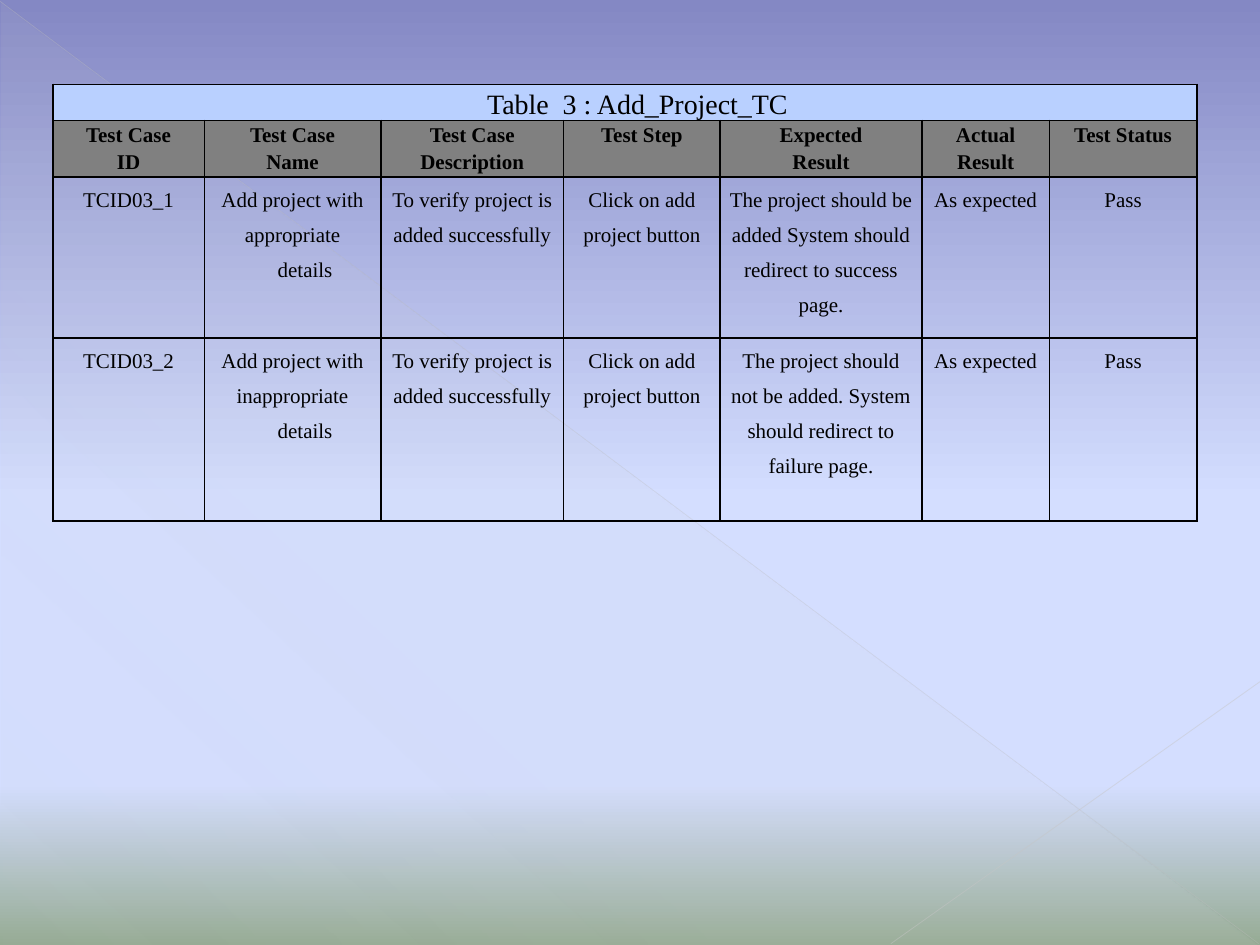
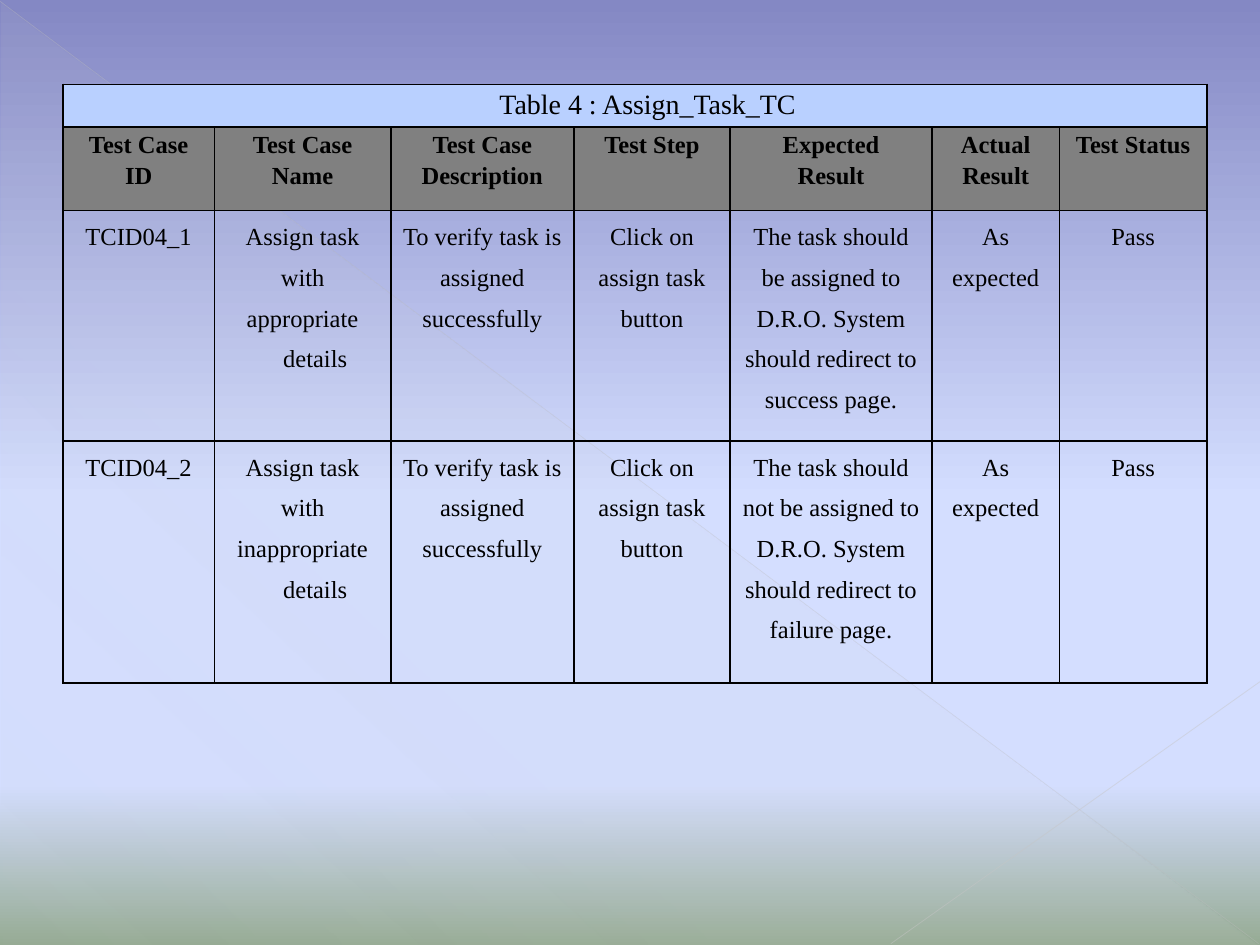
from typing import NamedTuple, Optional

import lxml.etree
import pptx
import pptx.dml.color
import pptx.enum.shapes
import pptx.enum.text
import pptx.oxml.ns
import pptx.util

COLORS = {
    "text": "000000", "border": "000000", "title": "B9D0FF", "header": "808080",
    "sky_top": "8488C4", "sky": "D4DEFF", "ground": "96AB94",
    "veil": "D2D2D2", "diagonal": "BFBFBF", "corner": "C6C6C6",
}
FONT = "Times New Roman"
GRID_COLUMNS, GRID_ROWS = 10, 7.5
CELL = pptx.util.Inches(1)
TABLE_WIDTH, TABLE_TOP = 9.08, 0.67
COLUMN_WEIGHTS = [1.2, 1.4, 1.45, 1.24, 1.6, 1.01, 1.17]
CELL_MARGIN = 0.07


class Stop(NamedTuple):
    percent: int
    color: str
    opacity: int = 100


class Ray(NamedTuple):
    start: tuple[float, float]
    end: tuple[float, float]
    color: str
    width: float
    opacity: int


class Line(NamedTuple):
    text: str
    left: float = 0
    first: float = 0


class CellStyle(NamedTuple):
    size: int
    bold: bool
    spacing: float
    fill: Optional[str]


class TestCase(NamedTuple):
    code: str
    name: str
    description: str
    step: str
    expected: str


class TestTable(NamedTuple):
    title: str
    left: float
    rows: list[float]
    size: int
    cases: list[TestCase]


SKY = [Stop(0, "sky_top"), Stop(53, "sky"), Stop(83, "sky"), Stop(100, "ground")]
VEIL = [Stop(0, "veil", 10), Stop(70, "veil", 8), Stop(100, "veil", 1)]
RAYS = [
    Ray((0, 0.01), (9.99, 7.49), "diagonal", 0.39, 35),
    Ray((10, 5.41), (7.07, 7.49), "corner", 0.47, 45),
]
HEADERS = [
    [Line("Test Case", 1, -1), Line("ID", 1, -1)],
    [Line("Test Case"), Line("Name")],
    [Line("Test Case"), Line("Description")],
    [Line("Test Step")],
    [Line("Expected"), Line("Result")],
    [Line("Actual"), Line("Result")],
    [Line("Test Status")],
]
TABLES = [
    TestTable("Table  3 : Add_Project_TC", 0.42, [0.19, 0.45, 1.28, 1.45], 12, [
        TestCase("TCID03_1", "Add project with appropriate",
                 "To verify project is added successfully", "Click on add project button",
                 "The project should be added System should redirect to success page."),
        TestCase("TCID03_2", "Add project with inappropriate",
                 "To verify project is added successfully", "Click on add project button",
                 "The project should not be added. System should redirect to failure page."),
    ]),
    TestTable("Table 4 : Assign_Task_TC", 0.5, [0.34, 0.66, 1.83, 1.92], 14, [
        TestCase("TCID04_1", "Assign task with appropriate",
                 "To verify task is assigned successfully", "Click on assign task button",
                 "The task should be assigned to D.R.O. System should redirect to success page."),
        TestCase("TCID04_2", "Assign task with inappropriate",
                 "To verify task is assigned successfully", "Click on assign task button",
                 "The task should not be assigned to D.R.O. System should redirect to failure page."),
    ]),
]


def grid(cells: float) -> int:
    return round(cells * CELL)


def rgb(name: str) -> pptx.dml.color.RGBColor:
    return pptx.dml.color.RGBColor.from_string(COLORS[name])


def add_child(parent, tag: str, **attributes):
    child = lxml.etree.SubElement(parent, pptx.oxml.ns.qn(tag))
    for key, value in attributes.items():
        child.set(key, str(value))
    return child


def set_gradient(fill, element, stops: list[Stop], angle: int) -> None:
    fill.gradient()
    fill.gradient_angle = 360 - angle
    stop_list = next(element.iter(pptx.oxml.ns.qn("a:gsLst")))
    for old in list(stop_list):
        stop_list.remove(old)
    for stop in stops:
        gs = add_child(stop_list, "a:gs", pos=stop.percent * 1000)
        color = add_child(gs, "a:srgbClr", val=COLORS[stop.color])
        add_child(color, "a:alpha", val=stop.opacity * 1000)


def draw_ray(slide, ray: Ray) -> None:
    points = [grid(value) for value in ray.start + ray.end]
    cx = slide.shapes.add_connector(pptx.enum.shapes.MSO_CONNECTOR.STRAIGHT, *points)
    cx.line.width = pptx.util.Pt(ray.width)
    cx.line.color.rgb = rgb(ray.color)
    color = next(cx.element.spPr.iter(pptx.oxml.ns.qn("a:srgbClr")))
    add_child(color, "a:alpha", val=ray.opacity * 1000)
    add_child(cx.element.spPr, "a:effectLst")


def draw_backdrop(slide) -> None:
    sp = slide.shapes.add_shape(pptx.enum.shapes.MSO_SHAPE.RIGHT_TRIANGLE,
                                grid(0.01), grid(0.02), grid(9.98), grid(7.48))
    sp.shadow.inherit = False
    sp.line.fill.background()
    set_gradient(sp.fill, sp.element, VEIL, 133)
    for ray in RAYS:
        draw_ray(slide, ray)


def set_borders(cell) -> None:
    properties = cell._tc.get_or_add_tcPr()
    for side in ("a:lnL", "a:lnR", "a:lnT", "a:lnB"):
        border = add_child(properties, side, w=pptx.util.Pt(1))
        add_child(add_child(border, "a:solidFill"), "a:srgbClr", val=COLORS["border"])


def write_cell(cell, lines: list[Line], style: CellStyle) -> None:
    set_borders(cell)
    if style.fill:
        cell.fill.solid()
        cell.fill.fore_color.rgb = rgb(style.fill)
    else:
        cell.fill.background()
    cell.margin_left = cell.margin_right = grid(CELL_MARGIN)
    cell.margin_top = cell.margin_bottom = 0
    tf = cell.text_frame
    for i, line in enumerate(lines):
        p = tf.add_paragraph() if i else tf.paragraphs[0]
        p.alignment = pptx.enum.text.PP_ALIGN.CENTER
        p.line_spacing = style.spacing
        properties = p._p.get_or_add_pPr()
        properties.set("marL", str(grid(line.left)))
        properties.set("indent", str(grid(line.first)))
        r = p.add_run()
        r.text = line.text
        r.font.name = FONT
        r.font.size = pptx.util.Pt(style.size)
        r.font.bold = style.bold
        r.font.color.rgb = rgb("text")


def case_lines(case: TestCase) -> list[list[Line]]:
    return [
        [Line(case.code)],
        [Line(case.name), Line("details", first=0.2)],
        [Line(case.description)],
        [Line(case.step)],
        [Line(case.expected)],
        [Line("As expected")],
        [Line("Pass")],
    ]


def draw_table(slide, data: TestTable) -> None:
    columns = len(COLUMN_WEIGHTS)
    frame = slide.shapes.add_table(len(data.rows), columns, grid(data.left), grid(TABLE_TOP),
                                   grid(TABLE_WIDTH), grid(sum(data.rows)))
    table = frame.table
    table.first_row = table.horz_banding = False
    for column, weight in zip(table.columns, COLUMN_WEIGHTS):
        column.width = grid(TABLE_WIDTH * weight / sum(COLUMN_WEIGHTS))
    for row, height in zip(table.rows, data.rows):
        row.height = grid(height)

    title_style = CellStyle(16, False, 1.15, "title")
    header_style = CellStyle(data.size, True, 1.15, "header")
    body_style = CellStyle(data.size, False, 1.5, None)
    table.cell(0, 0).merge(table.cell(0, columns - 1))
    write_cell(table.cell(0, 0), [Line(data.title, first=0.2)], title_style)
    for column in range(1, columns):
        set_borders(table.cell(0, column))
    body = [(HEADERS, header_style)] + [(case_lines(case), body_style) for case in data.cases]
    for row, (contents, style) in enumerate(body, start=1):
        for column, lines in enumerate(contents):
            write_cell(table.cell(row, column), lines, style)


def main() -> None:
    prs = pptx.Presentation()
    prs.slide_width, prs.slide_height = grid(GRID_COLUMNS), grid(GRID_ROWS)
    master = prs.slide_master
    set_gradient(master.background.fill, master.element, SKY, 90)
    for data in TABLES:
        slide = prs.slides.add_slide(prs.slide_layouts[6])
        draw_backdrop(slide)
        draw_table(slide, data)
    prs.save("out.pptx")


if __name__ == "__main__":
    main()
